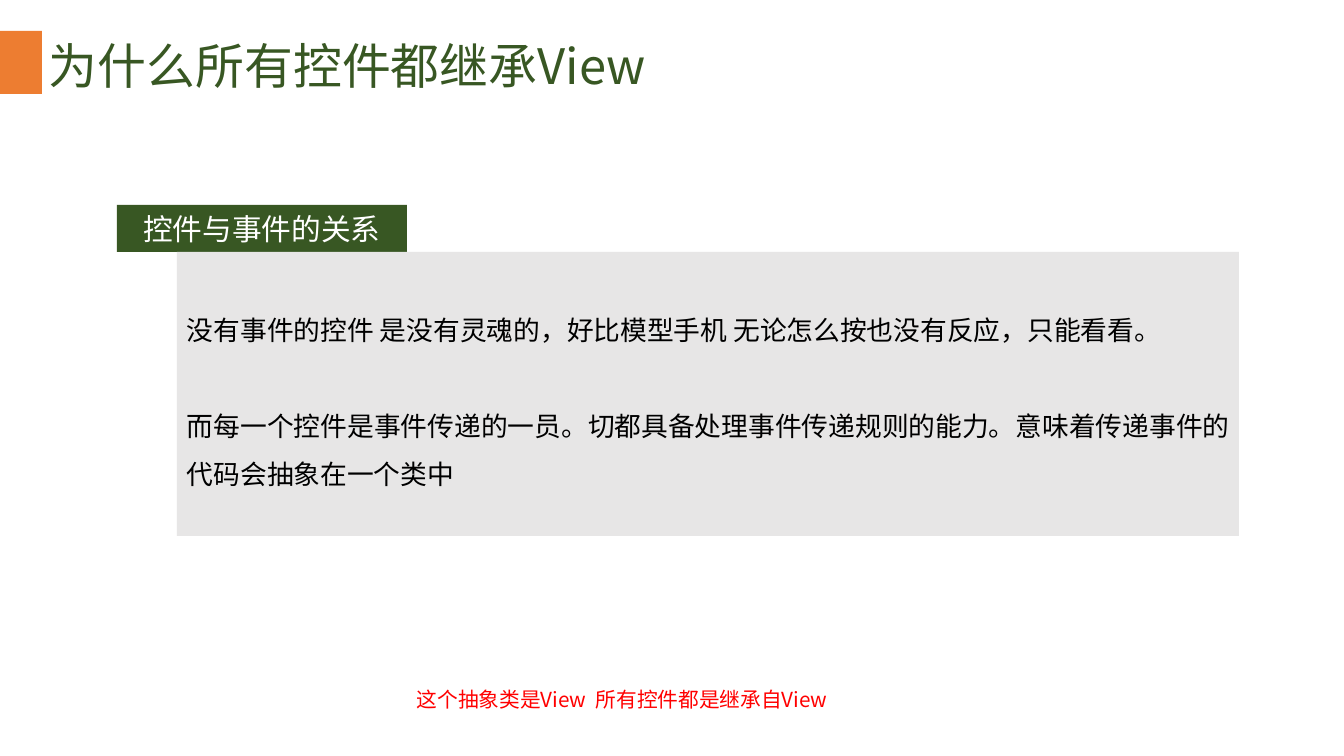
from lxml import etree
from pptx import Presentation
from pptx.dml.color import RGBColor
from pptx.enum.shapes import MSO_SHAPE
from pptx.enum.text import MSO_ANCHOR, PP_ALIGN
from pptx.oxml.ns import qn
from pptx.util import Pt

PX = 914400 / 100.8
FONT = "Noto Sans CJK SC"
RECTANGLE = MSO_SHAPE.RECTANGLE
MIDDLE, TOP = MSO_ANCHOR.MIDDLE, MSO_ANCHOR.TOP
LEFT, CENTER, JUSTIFY = PP_ALIGN.LEFT, PP_ALIGN.CENTER, PP_ALIGN.JUSTIFY
GREEN, ORANGE, GRAY = "385723", "ED7D31", "E7E6E6"
WHITE, BLACK, RED = "FFFFFF", "000000", "FF0000"


def color(value):
    return RGBColor.from_string(value)


def write(box, text, size, ink, align, anchor):
    frame = box.text_frame
    frame.word_wrap = True
    frame.vertical_anchor = anchor
    frame.text = text
    for para in frame.paragraphs:
        para.alignment = align
        for span in para.runs:
            span.font.name = FONT
            span.font.size = Pt(size)
            span.font.color.rgb = color(ink)
            properties = span._r.get_or_add_rPr()
            etree.SubElement(properties, qn("a:ea"), typeface=FONT)


deck = Presentation()
deck.slide_width = round(1344 * PX)
deck.slide_height = round(756 * PX)
page = deck.slides.add_slide(deck.slide_layouts[6])

blocks = []
for fill, *area in [
    (ORANGE, 0, 31, 42, 63),
    (GREEN, 117, 205, 290, 47),
    (GRAY, 177, 252, 1062, 284),
]:
    block = page.shapes.add_shape(RECTANGLE, *[round(length * PX) for length in area])
    block.shadow.inherit = False
    block.fill.solid()
    block.fill.fore_color.rgb = color(fill)
    block.line.fill.background()
    blocks.append(block)
accent, label, panel = blocks

title, note = [
    page.shapes.add_textbox(*[round(length * PX) for length in area])
    for area in [(42, 32, 1260, 65), (407, 682, 570, 35)]
]
title.text_frame.margin_left = title.text_frame.margin_right = round(7 * PX)
title.text_frame.margin_top = title.text_frame.margin_bottom = round(4 * PX)

explanation = "\n".join([
    "没有事件的控件 是没有灵魂的，好比模型手机 无论怎么按也没有反应，只能看看。",
    "而每一个控件是事件传递的一员。切都具备处理事件传递规则的能力。意味着传递事件的代码会抽象在一个类中",
])
for box, text, size, ink, align, anchor in [
    (title, "为什么所有控件都继承View", 34.9, GREEN, LEFT, MIDDLE),
    (label, "控件与事件的关系", 21.2, WHITE, CENTER, MIDDLE),
    (panel, explanation, 19.1, BLACK, JUSTIFY, MIDDLE),
    (note, "这个抽象类是View  所有控件都是继承自View", 14.8, RED, LEFT, TOP),
]:
    write(box, text, size, ink, align, anchor)

for para in panel.text_frame.paragraphs:
    para.line_spacing = 1.5
panel.text_frame.paragraphs[1].space_before = Pt(34)

deck.save("out.pptx")
